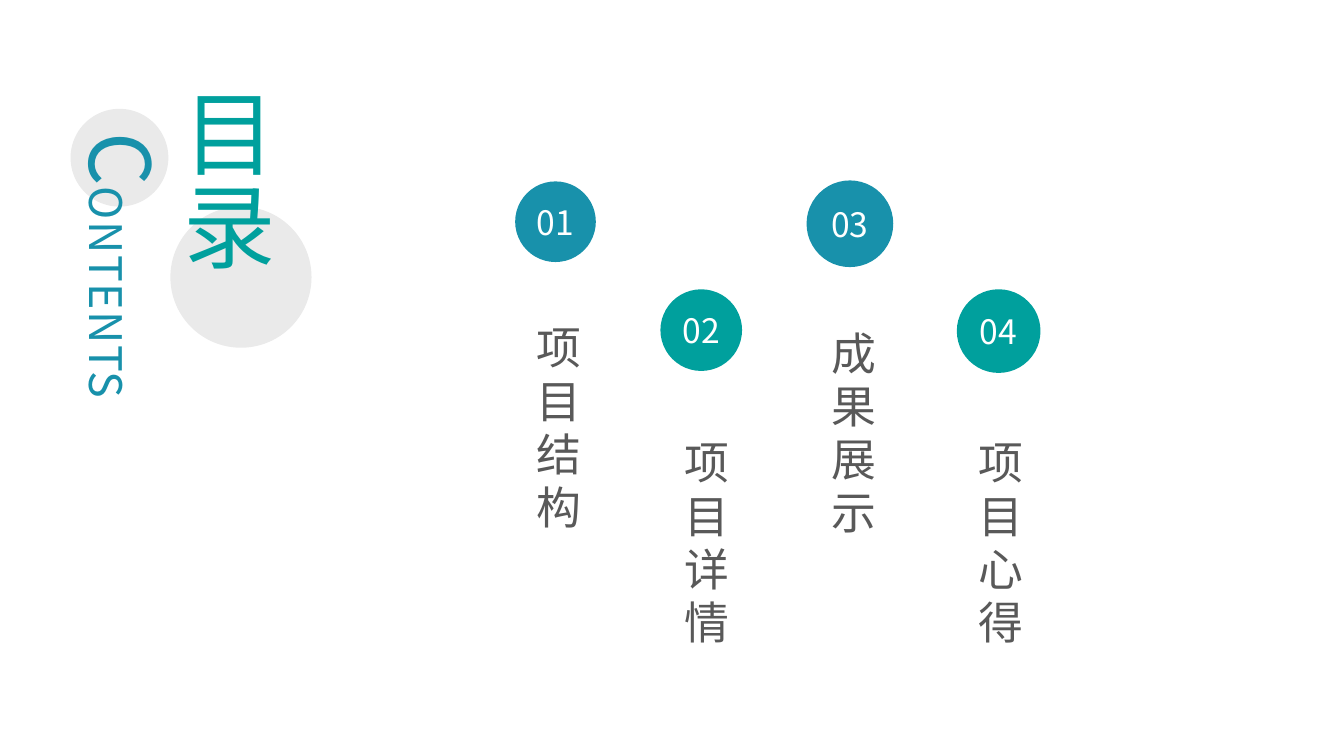
import pptx
import pptx.util
import pptx.dml.color
import pptx.enum.shapes
import pptx.enum.text
import pptx.oxml.ns
import lxml.etree

Inches = pptx.util.Inches
RGBColor = pptx.dml.color.RGBColor
BLUE = RGBColor(0x18, 0x91, 0xAB)
TEAL = RGBColor(0x00, 0xA0, 0x9D)
GREY = RGBColor(0xEA, 0xEA, 0xEA)
DARK = RGBColor(0x59, 0x59, 0x59)
WHITE = RGBColor(0xFF, 0xFF, 0xFF)
FACE = "Noto Sans CJK SC"

deck = pptx.Presentation()
deck.slide_width = Inches(13.33)
deck.slide_height = Inches(7.5)
slide = deck.slides.add_slide(deck.slide_layouts[6])


def add_disc(left, top, size, color):
    disc = slide.shapes.add_shape(
        pptx.enum.shapes.MSO_SHAPE.OVAL,
        Inches(left), Inches(top), Inches(size), Inches(size))
    disc.shadow.inherit = False
    disc.fill.solid()
    disc.fill.fore_color.rgb = color
    disc.line.fill.background()
    return disc


def write(shape, parts, color, inset=0, space=0, indent=0, flow="horz"):
    frame = shape.text_frame
    format = {
        "word_wrap": True,
        "vertical_anchor": pptx.enum.text.MSO_ANCHOR.MIDDLE,
        "margin_left": Inches(2 * inset),
        "margin_right": Inches(2 * inset),
        "margin_top": Inches(inset),
        "margin_bottom": Inches(inset),
    }
    for name, value in format.items():
        setattr(frame, name, value)
    frame._txBody.bodyPr.set("vert", flow)
    line = frame.paragraphs[0]
    if flow == "horz":
        line.alignment = pptx.enum.text.PP_ALIGN.CENTER
    if indent:
        props = line._p.get_or_add_pPr()
        props.set("marL", str(Inches(indent)))
        props.set("indent", "0")
    for text, size in parts:
        run = line.add_run()
        run.text = text
        for name, value in {"name": FACE, "size": pptx.util.Pt(size)}.items():
            setattr(run.font, name, value)
        run.font.color.rgb = color
        props = run._r.get_or_add_rPr()
        props.set("spc", str(space * 100))
        east = lxml.etree.SubElement(props, pptx.oxml.ns.qn("a:ea"))
        east.set("typeface", FACE)


add_disc(1.69, 2.05, 1.4, GREY)
add_disc(0.7, 1.08, 0.97, GREY)

side = slide.shapes.add_textbox(
    Inches(0.65), Inches(1.31), Inches(1.15), Inches(5.42))
write(side, [("C", 60), ("ONTENTS", 32)], BLUE, space=1, flow="eaVert")

title = slide.shapes.add_textbox(
    Inches(1.46), Inches(0.77), Inches(1.57), Inches(2.55))
write(title, [("目录", 66)], TEAL, inset=0.05, flow="eaVert")

topics = [
    ("项目结构", 5.11, 1.8, 0.8, BLUE, 5.12, 2.86, 3.33),
    ("项目详情", 6.55, 2.87, 0.81, TEAL, 6.59, 4, 3.16),
    ("成果展示", 8, 1.79, 0.86, BLUE, 8.05, 2.91, 2.89),
    ("项目心得", 9.49, 2.87, 0.83, TEAL, 9.51, 4, 3.27),
]
for count, topic in enumerate(topics, 1):
    text, left, top, size, color, edge, start, height = topic
    disc = add_disc(left, top, size, color)
    write(disc, [(f"{count:02}", 24)], WHITE)
    label = slide.shapes.add_textbox(
        Inches(edge), Inches(start), Inches(0.81), Inches(height))
    write(label, [(text, 32)], DARK, space=6, indent=0.37, flow="eaVert")

deck.save("out.pptx")
